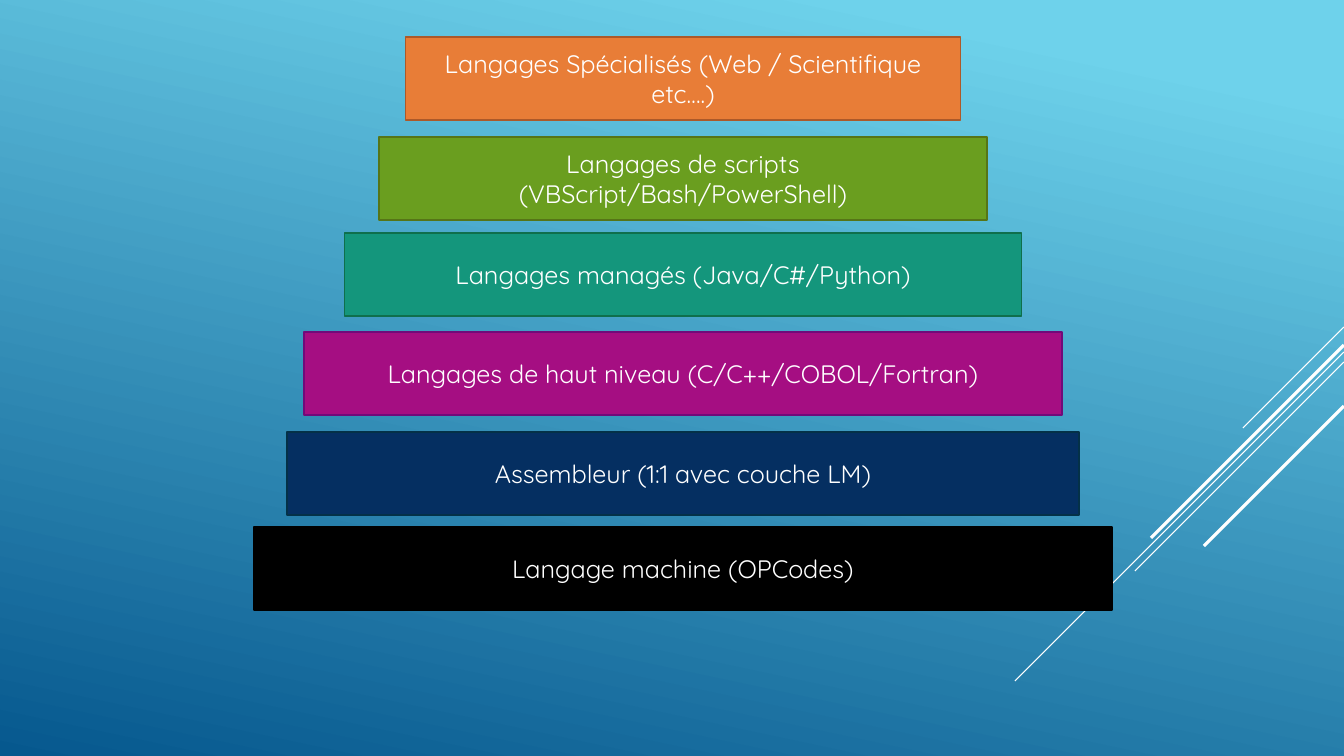
from lxml.etree import SubElement
from pptx import Presentation
from pptx.dml.color import RGBColor
from pptx.enum.shapes import MSO_CONNECTOR as CONN, MSO_SHAPE as SHAPE
from pptx.enum.text import MSO_ANCHOR as ANCHOR, PP_ALIGN as ALIGN
from pptx.oxml.ns import qn
from pptx.util import Pt

WIDTH, HEIGHT = 1344, 756
COLORS = {
    "white": "FFFFFF", "black": "000000",
    "sky": "6ED2EB", "deep": "06588E",
    "orange": "E87D37", "orange_edge": "AC5929",
    "green": "6A9E1F", "green_edge": "567517",
    "teal": "14967C", "teal_edge": "0F6F4C",
    "magenta": "A50E82", "magenta_edge": "710A7A",
    "navy": "052F61", "navy_edge": "043148",
}


def px(n):
    return round(n * 914400 / 100.8)


def rgb(name):
    return RGBColor.from_string(COLORS[name])


class Deck:
    font, size = "Quicksand", Pt(18)

    def __init__(self):
        self.prs = Presentation()
        self.prs.slide_width, self.prs.slide_height = px(WIDTH), px(HEIGHT)
        self.s = self.prs.slides.add_slide(self.prs.slide_layouts[6])

    def background(self, stops, angle):
        fill = self.s.background.fill
        fill.gradient()
        fill.gradient_angle = angle
        for stop, (position, color) in zip(fill.gradient_stops, stops):
            stop.position, stop.color.rgb = position, rgb(color)

    def line(self, x1, y1, x2, y2, weight):
        c = self.s.shapes.add_connector(CONN.STRAIGHT, *map(px, (x1, y1, x2, y2)))
        c.line.color.rgb, c.line.width = rgb("white"), Pt(weight)
        SubElement(c._element.spPr, qn("a:effectLst"))

    def bar(self, x, y, w, h, text, fill, edge):
        sp = self.s.shapes.add_shape(SHAPE.RECTANGLE, *map(px, (x, y, w, h)))
        sp.shadow.inherit = False
        sp.fill.solid()
        sp.fill.fore_color.rgb = rgb(fill)
        sp.line.color.rgb, sp.line.width = rgb(edge), Pt(1.25)
        tf = sp.text_frame
        tf.word_wrap, tf.vertical_anchor = True, ANCHOR.MIDDLE
        tf.text = text
        for p in tf.paragraphs:
            p.alignment = ALIGN.CENTER
            p.font.name, p.font.size = self.font, self.size
            p.font.color.rgb = rgb("white")


def main():
    deck = Deck()
    deck.background([(0.1, "sky"), (1, "deep")], 258)

    # Diagonal rays from the right edge: start height, run, weight
    for y, run, weight in [(327, 101, 0.75), (352, 329, 0.75), (362, 209, 0.75),
                           (345, 193, 2.25), (406, 140, 2.25)]:
        deck.line(WIDTH, y, WIDTH - run, y + run, weight)

    # Pyramid of language levels, centred on one axis: top, width, text, colours
    axis, bar_height = 683, 83
    levels = [
        (37, 555, "Langages Spécialisés (Web / Scientifique etc….)", "orange", "orange_edge"),
        (137, 608, "Langages de scripts\n(VBScript/Bash/PowerShell)", "green", "green_edge"),
        (233, 677, "Langages managés (Java/C#/Python)", "teal", "teal_edge"),
        (332, 758, "Langages de haut niveau (C/C++/COBOL/Fortran)", "magenta", "magenta_edge"),
        (432, 792, "Assembleur (1:1 avec couche LM)", "navy", "navy_edge"),
        (527, 858, "Langage machine (OPCodes)", "black", "black"),
    ]
    for top, width, text, fill, edge in levels:
        deck.bar(axis - width / 2, top, width, bar_height, text, fill, edge)

    deck.prs.save("out.pptx")


if __name__ == "__main__":
    main()
